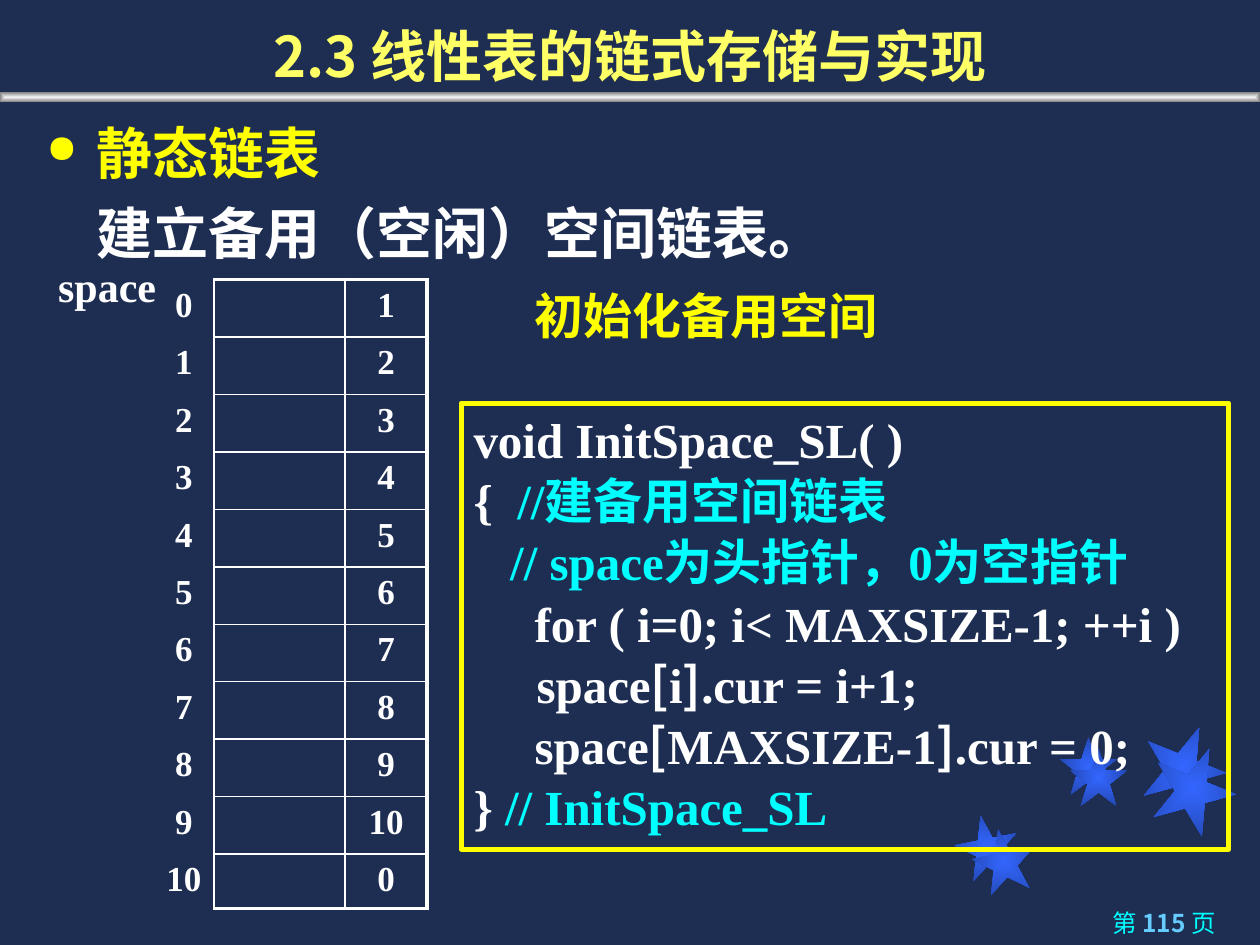
from dataclasses import dataclass
from typing import Optional

from lxml import etree
from pptx import Presentation
from pptx.dml.color import RGBColor
from pptx.enum.shapes import MSO_SHAPE
from pptx.enum.text import MSO_ANCHOR, PP_ALIGN
from pptx.oxml.ns import qn
from pptx.util import Pt

STAR, RECT = MSO_SHAPE.STAR_5_POINT, MSO_SHAPE.RECTANGLE
LEFT, CENTER, RIGHT = PP_ALIGN.LEFT, PP_ALIGN.CENTER, PP_ALIGN.RIGHT
TOP, MIDDLE, BOTTOM = MSO_ANCHOR.TOP, MSO_ANCHOR.MIDDLE, MSO_ANCHOR.BOTTOM

NAVY = RGBColor(0x1E, 0x2E, 0x53)
BLUE = RGBColor(0x33, 0x66, 0xFF)
DEEP = RGBColor(0x24, 0x49, 0xB6)
SILVER = RGBColor(0xF2, 0xF2, 0xF2)
GRAY = RGBColor(0x80, 0x80, 0x80)
CYAN = RGBColor(0x00, 0xFF, 0xFF)
SKY = RGBColor(0x66, 0xCC, 0xFF)
LEMON = RGBColor(0xFF, 0xFF, 0x66)
YELLOW = RGBColor(0xFF, 0xFF, 0x00)
WHITE = RGBColor(0xFF, 0xFF, 0xFF)

SANS, SERIF, ARIAL = "Noto Sans CJK SC", "Times New Roman", "Arial"
PLAIN = "{2D5ABB26-0587-4C30-8999-92F81FD0307C}"


@dataclass
class Box:
    left: float
    top: float
    width: float
    height: float

    def place(self) -> tuple:
        return Pt(self.left), Pt(self.top), Pt(self.width), Pt(self.height)


@dataclass
class Star:
    left: float
    top: float
    size: float
    turn: float


@dataclass
class Bit:
    text: str
    color: RGBColor = WHITE
    font: str = SERIF
    size: float = 28
    bold: bool = True


@dataclass
class Label:
    box: Box
    lines: list[list[Bit]]
    align: int = CENTER
    anchor: int = TOP
    wrap: bool = True
    pitch: Optional[float] = None


STARS = [
    Star(545.8, 465.8, 36, 349), Star(605.5, 421.2, 33, 0), Star(652.3, 414, 48, 22),
    Star(555.8, 473.8, 36, 349), Star(611.3, 427.7, 33, 0), Star(658, 426.2, 48, 22),
]

PAGE = Label(Box(512.6, 514, 189.4, 26), [[
    Bit("第 ", CYAN, SANS, 14, False), Bit("115 ", SKY, SANS, 14),
    Bit("页", CYAN, SANS, 14, False)]], RIGHT, MIDDLE)
TITLE = Label(Box(0, 0, 720, 54),
              [[Bit("2.3 线性表的链式存储与实现", LEMON, SANS, 32)]], anchor=BOTTOM)
TOPIC = Label(Box(19.4, 56.2, 684, 101.5), [
    [Bit("静态链表", YELLOW, ARIAL, 32)],
    [Bit("建立备用（空闲）空间链表。", WHITE, ARIAL, 32)]], LEFT, pitch=1.2)
SPACE = Label(Box(25.9, 145.4, 70.6, 36), [[Bit("space", size=24)]], wrap=False)
HEAD = Label(Box(263.5, 159.8, 280, 41), [[Bit("初始化备用空间", YELLOW)]])
OPEN, CLOSE = Bit("[", font=SANS), Bit("]", font=SANS)
CODE = Label(Box(263.5, 230.4, 438.5, 254.9), [
    [Bit("void InitSpace_SL( )")],
    [Bit("{  "), Bit("//建备用空间链表", CYAN)],
    [Bit("   // space为头指针，0为空指针", CYAN)],
    [Bit("     for ( i=0; i< MAXSIZE-1; ++i )")],
    [Bit("\tspace"), OPEN, Bit("i"), CLOSE, Bit(".cur = i+1;")],
    [Bit("     space"), OPEN, Bit("MAXSIZE-1"), CLOSE, Bit(".cur = 0;")],
    [Bit("}"), Bit(" // InitSpace_SL", CYAN)],
], LEFT)


def style(run, bit: Bit) -> None:
    font = run.font
    font.size, font.bold, font.name = Pt(bit.size), bit.bold, bit.font
    font.color.rgb = bit.color
    east = etree.Element(qn("a:ea"), typeface=SANS)
    run._r.rPr.find(qn("a:latin")).addnext(east)


def write(shape, label: Label) -> None:
    frame = shape.text_frame
    frame.word_wrap = label.wrap
    frame.vertical_anchor = label.anchor
    frame.text = "\n".join("" for _ in label.lines)
    for para, bits in zip(frame.paragraphs, label.lines):
        para.alignment = label.align
        if label.pitch:
            para.line_spacing = label.pitch
        for bit in bits:
            run = para.add_run()
            run.text = bit.text
            style(run, bit)


def add_text(slide, label: Label):
    shape = slide.shapes.add_textbox(*label.box.place())
    write(shape, label)
    return shape


def add_glow(slide, kind: int, box: Box, inner: RGBColor, outer: RGBColor, turn: float = 0) -> None:
    shape = slide.shapes.add_shape(kind, *box.place())
    shape.rotation = turn
    shape.shadow.inherit = False
    shape.line.fill.background()
    shape.fill.gradient()
    for stop, color in zip(shape.fill.gradient_stops, (inner, outer)):
        stop.color.rgb = color
    grad = shape._element.spPr.find(qn("a:gradFill"))
    grad.remove(grad.find(qn("a:lin")))
    focus = etree.SubElement(grad, qn("a:path"), {"path": "shape"})
    etree.SubElement(focus, qn("a:fillToRect"), dict.fromkeys("ltrb", "50000"))


def add_edge(cell, side: str, width: float) -> None:
    props = cell._tc.get_or_add_tcPr()
    edge = etree.SubElement(props, qn(f"a:ln{side}"), w=str(int(Pt(width))))
    if width:
        fill = etree.SubElement(edge, qn("a:solidFill"))
        etree.SubElement(fill, qn("a:srgbClr"), val=str(WHITE))
    else:
        etree.SubElement(edge, qn("a:noFill"))


def add_list(slide, box: Box, count: int) -> None:
    table = slide.shapes.add_table(count, 3, *box.place()).table
    table.first_row = table.horz_banding = False
    table._tbl.tblPr.find(qn("a:tableStyleId")).text = PLAIN
    for col, width in zip(table.columns, (34.6, 74.9, 46.8)):
        col.width = Pt(width)
    for idx, row in enumerate(table.rows):
        last = idx == count - 1
        row.height = Pt(31.2 if last else 32.83)
        texts = (str(idx), "", str((idx + 1) % count))
        high, low = (1 if idx else 2.25), (2.25 if last else 1)
        edges = ((0, 1, 0, 0), (1, 1, high, low), (1, 2.25, high, low))
        for cell, text, widths in zip(row.cells, texts, edges):
            cell.text = text
            para = cell.text_frame.paragraphs[0]
            para.alignment = CENTER
            for run in para.runs:
                style(run, Bit(text, size=20))
            for side, width in zip("LRTB", widths):
                add_edge(cell, side, width)
            cell.fill.background()


def add_topic(slide) -> None:
    paras = add_text(slide, TOPIC).text_frame.paragraphs
    for para, indent in zip(paras, (-28.8, 0)):
        props = para._p.get_or_add_pPr()
        props.set("marL", str(int(Pt(28.8))))
        props.set("indent", str(int(Pt(indent))))
    props = paras[0]._p.pPr
    etree.SubElement(props, qn("a:buSzPct"), val="70000")
    etree.SubElement(props, qn("a:buChar"), char="●")


def add_code(slide) -> None:
    shape = slide.shapes.add_shape(RECT, *CODE.box.place())
    shape.shadow.inherit = False
    shape.fill.background()
    shape.line.color.rgb, shape.line.width = YELLOW, Pt(3)
    write(shape, CODE)
    for para in shape.text_frame.paragraphs[1:]:
        para.space_before = Pt(1.4)


def main() -> None:
    deck = Presentation()
    deck.slide_width, deck.slide_height = Pt(720), Pt(540)
    slide = deck.slides.add_slide(deck.slide_layouts[6])
    slide.background.fill.solid()
    slide.background.fill.fore_color.rgb = NAVY
    for star in STARS:
        box = Box(star.left, star.top, star.size, star.size)
        add_glow(slide, STAR, box, BLUE, DEEP, star.turn)
    add_glow(slide, RECT, Box(0, 52.6, 720, 5.8), SILVER, GRAY)
    add_text(slide, PAGE)
    add_text(slide, TITLE)
    add_topic(slide)
    add_list(slide, Box(87.8, 159.8, 156.3, 359.5), 11)
    add_text(slide, SPACE)
    add_text(slide, HEAD)
    add_code(slide)
    deck.save("out.pptx")


if __name__ == "__main__":
    main()
